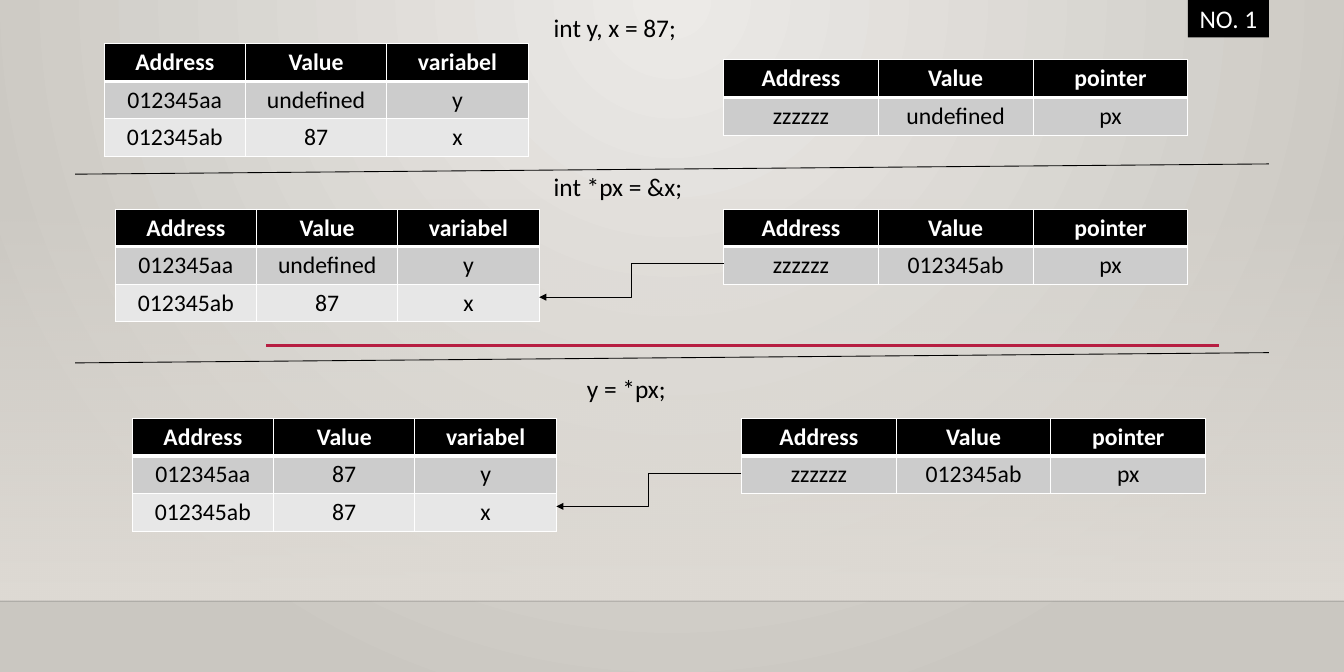
from lxml import etree
from pptx import Presentation
from pptx.dml.color import RGBColor
from pptx.enum.shapes import MSO_CONNECTOR, MSO_SHAPE
from pptx.enum.text import MSO_ANCHOR, MSO_AUTO_SIZE, PP_ALIGN
from pptx.oxml import parse_xml
from pptx.oxml.ns import qn
from pptx.util import Inches, Pt

RECT = MSO_SHAPE.RECTANGLE
LINE, ELBOW = MSO_CONNECTOR.STRAIGHT, MSO_CONNECTOR.ELBOW
CENTER, LEFT = PP_ALIGN.CENTER, PP_ALIGN.LEFT
MIDDLE, GROW = MSO_ANCHOR.MIDDLE, MSO_AUTO_SIZE.SHAPE_TO_FIT_TEXT
NS = ('xmlns:a="http://schemas.openxmlformats.org/drawingml/2006/main" '
      'xmlns:p="http://schemas.openxmlformats.org/presentationml/2006/main"')

WIDE, HIGH = 15.75, 7.87
ROW, VAR_W, PTR_W = 0.44, 4.97, 5.44
FLOOR = 7.04
BLACK, WHITE, RED = "000000", "FFFFFF", "B71E42"
FILLS = (BLACK, "CCCCCC", "E7E7E7")
HEAD = {"size": Pt(20), "name": "Calibri", "bold": True}
BODY = {**HEAD, "bold": False}
LABEL = {"size": Pt(21.4), "name": "Calibri"}

STEPS = [
    {"code": "int y, x = 87;", "label": (6.39, 0.09), "y": "undefined",
     "px": "undefined", "var": (1.22, 0.51), "ptr": (8.48, 0.7), "link": False},
    {"code": "int *px = &x;", "label": (6.39, 1.96), "y": "undefined",
     "px": "012345ab", "var": (1.35, 2.45), "ptr": (8.48, 2.45), "link": True},
    {"code": "y = *px;", "label": (6.78, 4.32), "y": "87",
     "px": "012345ab", "var": (1.55, 4.9), "ptr": (8.69, 4.9), "link": True},
]
RULES = [(2.04, 1.92), (4.25, 4.13)]


def color(code):
    return RGBColor.from_string(code)


def style(para, text, form, code, align):
    run = para.add_run()
    run.text = text
    para.alignment = align
    for key, value in form.items():
        setattr(run.font, key, value)
    run.font.color.rgb = color(code)


def blend(first, last, alpha, shape):
    return (f'<a:gradFill {NS} rotWithShape="1"><a:gsLst><a:gs pos="0"><a:srgbClr val="{first}">'
            f'<a:alpha val="{alpha}"/></a:srgbClr></a:gs><a:gs pos="100000">'
            f'<a:srgbClr val="{last}"/></a:gs></a:gsLst>{shape}</a:gradFill>')


def stroke(kind, start, end, code, width, arrow=False):
    line = slide.shapes.add_connector(kind, *map(Inches, start + end))
    line.line.color.rgb = color(code)
    line.line.width = Pt(width)
    props = line._element.spPr
    if arrow:
        etree.SubElement(props.find(qn("a:ln")), qn("a:tailEnd"), type="triangle")
    etree.SubElement(props, qn("a:effectLst"))
    return line


def edge(cell, row):
    props = cell._tc.get_or_add_tcPr()
    for spot, side in enumerate("LRTB"):
        thick = (row, side) in ((0, "B"), (1, "T"))
        props.insert(spot, parse_xml(
            f'<a:ln{side} {NS} w="{Pt(3 if thick else 1)}"><a:solidFill>'
            f'<a:srgbClr val="{WHITE}"/></a:solidFill></a:ln{side}>'))


def grid(spot, width, data):
    size = (width, ROW * len(data))
    frame = slide.shapes.add_table(len(data), len(data[0]), *map(Inches, spot + size))
    table = frame.table
    table.horz_banding = False
    for col in table.columns:
        col.width = Inches(width / len(data[0]))
    for r, line in enumerate(data):
        for c, text in enumerate(line):
            cell = table.cell(r, c)
            cell.fill.solid()
            cell.fill.fore_color.rgb = color(FILLS[r])
            form, ink = (BODY, BLACK) if r else (HEAD, WHITE)
            style(cell.text_frame.paragraphs[0], text, form, ink, CENTER)
            edge(cell, r)


def label(shape, text, code, align):
    frame = shape.text_frame
    frame.word_wrap = True
    frame.auto_size = GROW
    style(frame.paragraphs[0], text, LABEL, code, align)
    return frame


def box(left, top, width, height):
    shape = slide.shapes.add_shape(RECT, *map(Inches, (left, top, width, height)))
    shape.shadow.inherit = False
    shape.line.fill.background()
    return shape


deck = Presentation()
deck.slide_width, deck.slide_height = Inches(WIDE), Inches(HIGH)
slide = deck.slides.add_slide(deck.slide_layouts[6])

glow = blend("ECEAE7", "CAC7C1", 100000,
             '<a:path path="circle"><a:fillToRect l="43000" t="0" r="43000" b="100000"/></a:path>')
slide._element.cSld.insert(0, parse_xml(
    f'<p:bg {NS}><p:bgPr>{glow}<a:effectLst/></p:bgPr></p:bg>'))

wall = box(0, 2.32, WIDE, 4.71)
wall.fill.background()
props = wall._element.spPr
props.replace(props.find(qn("a:noFill")), parse_xml(
    blend("DFDBD5", "DFDBD5", 0, '<a:lin ang="5400000" scaled="0"/>')))

base = stroke(LINE, (0, FLOOR), (WIDE, FLOOR), "000001", 1)
tint = base._element.spPr.find(".//" + qn("a:srgbClr"))
etree.SubElement(tint, qn("a:alpha"), val="20000")
stroke(LINE, (3.12, 4.05), (14.28, 4.05), RED, 2.5)

for left, right in RULES:
    stroke(LINE, (0.88, left), (14.87, right), BLACK, 0.75)

for step in STEPS:
    grid(step["var"], VAR_W, [("Address", "Value", "variabel"),
                              ("012345aa", step["y"], "y"),
                              ("012345ab", "87", "x")])
    grid(step["ptr"], PTR_W, [("Address", "Value", "pointer"),
                              ("zzzzzz", step["px"], "px")])
    if step["link"]:
        (x, y), (tip, top) = step["ptr"], step["var"]
        stroke(ELBOW, (x, y + 0.64), (tip + VAR_W, top + 1.03), BLACK, 0.75, True)
    note = slide.shapes.add_textbox(*map(Inches, step["label"] + (4.17, 0.46)))
    label(note, step["code"], BLACK, LEFT)

badge = box(13.92, -0.02, 0.95, 0.46)
badge.fill.solid()
badge.fill.fore_color.rgb = color(BLACK)
label(badge, "NO. 1", WHITE, CENTER).vertical_anchor = MIDDLE

deck.save("out.pptx")
